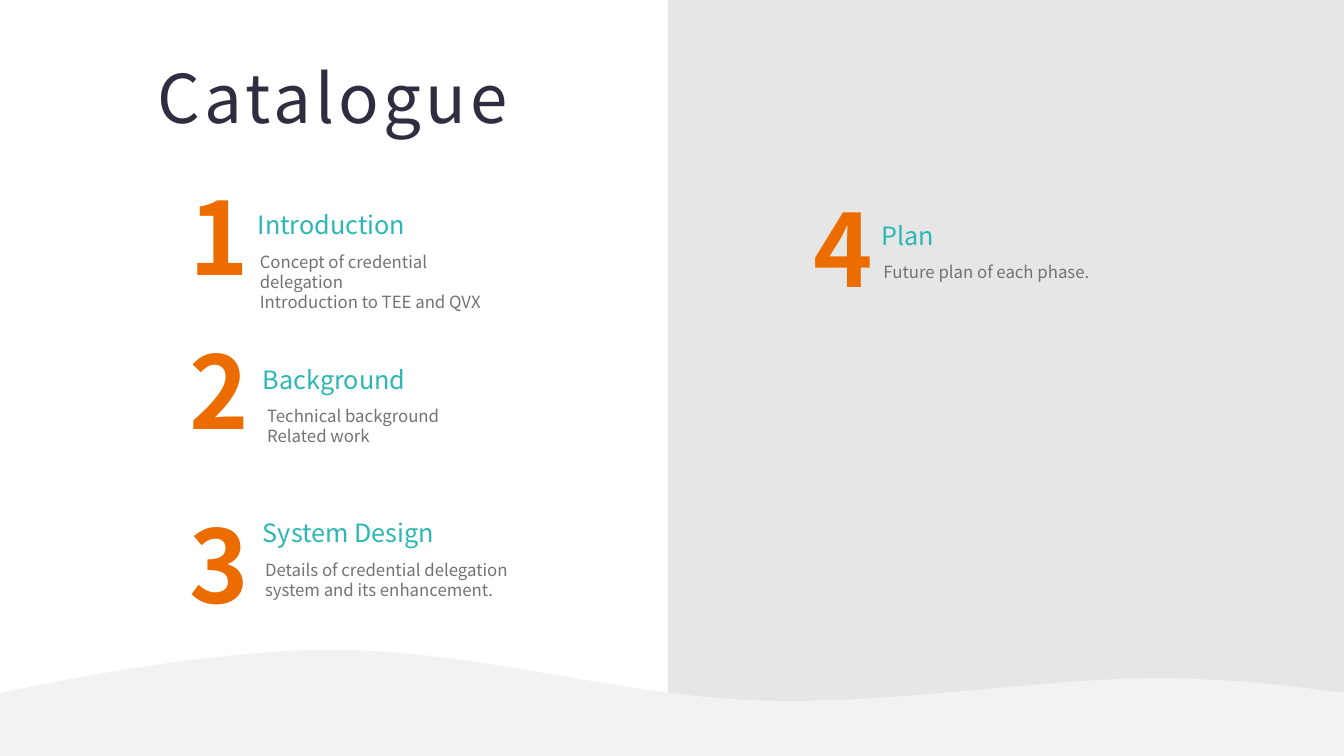
from pptx import Presentation
from pptx.dml.color import RGBColor
from pptx.enum.shapes import MSO_SHAPE
from pptx.enum.text import MSO_AUTO_SIZE, PP_ALIGN
from pptx.util import Pt

PX = 9525  # EMU per px, 96 px to the inch
WIDTH, HEIGHT = 1280, 720
FONT = "Noto Sans CJK SC"
NAVY = RGBColor(0x2F, 0x2E, 0x41)
TEAL = RGBColor(0x2B, 0xB7, 0xB3)
ORANGE = RGBColor(0xED, 0x6C, 0x00)
TEXT_GRAY = RGBColor(0x76, 0x71, 0x71)
PANEL_GRAY = RGBColor(0xE7, 0xE6, 0xE6)
WAVE_GRAY = RGBColor(0xF2, 0xF2, 0xF2)

# Number box (left, top), heading offset and width, body indent and size
ENTRIES = [
    ("1", "Introduction", "Concept of credential delegation\nIntroduction to TEE and QVX",
     (171, 162), (65, 33, 305), (2, 261, 68)),
    ("2", "Background", "Technical background\nRelated work",
     (171, 308), (70, 34, 258), (4, 229, 48)),
    ("3", "System Design", "Details of credential delegation system and its enhancement.",
     (171, 474), (70, 14, 346), (2, 276, 48)),
    ("4", "Plan", "Future plan of each phase.",
     (765, 173), (65, 32, 305), (2, 261, 29)),
]

# Cubic curves along the wave's crest: two control points and an end point
CREST_START = (10, 658)
CREST_CURVES = [
    ((100, 639), (214, 621), (300, 619)),
    ((309, 619), (318, 619), (327, 619)),
    ((458, 621), (590, 662), (718, 667)),
    ((855, 672), (1007, 643), (1121, 646)),
    ((1164, 647), (1209, 651), (1249, 656)),
]
CURVE_STEPS = 24


def add_text(slide, box, text, size, color, bold=False, align=PP_ALIGN.LEFT,
             wrap=True, spacing=0):
    shape = slide.shapes.add_textbox(*(length * PX for length in box))
    text_frame = shape.text_frame
    text_frame.text = text
    text_frame.word_wrap = wrap
    text_frame.auto_size = MSO_AUTO_SIZE.SHAPE_TO_FIT_TEXT
    for paragraph in text_frame.paragraphs:
        paragraph.alignment = align
        for run in paragraph.runs:
            run.font.name = FONT
            run.font.size = Pt(size)
            run.font.bold = bold
            run.font.color.rgb = color
            properties = run.font._element
            properties.set("spc", str(spacing * 100))
            # East Asian face alongside the Latin one
            east_asian = properties.makeelement(
                properties[-1].tag.replace("latin", "ea"), {"typeface": FONT})
            properties.append(east_asian)


def fill_plain(shape, color):
    shape.shadow.inherit = False
    shape.fill.solid()
    shape.fill.fore_color.rgb = color
    shape.line.fill.background()


def add_panel(slide, box):
    panel = slide.shapes.add_shape(MSO_SHAPE.RECTANGLE, *(length * PX for length in box))
    fill_plain(panel, PANEL_GRAY)


def curve_points(start, control_1, control_2, end):
    for step in range(1, CURVE_STEPS + 1):
        t = step / CURVE_STEPS
        weights = ((1 - t) ** 3, 3 * t * (1 - t) ** 2, 3 * t * t * (1 - t), t ** 3)
        corners = (start, control_1, control_2, end)
        yield tuple(sum(w * corner[axis] for w, corner in zip(weights, corners))
                    for axis in (0, 1))


def add_wave(slide):
    points = [CREST_START]
    for curve in CREST_CURVES:
        points.extend(curve_points(points[-1], *curve))
    points += [(WIDTH, 660), (WIDTH, HEIGHT), (0, HEIGHT)]
    builder = slide.shapes.build_freeform(0, 660 * PX)
    builder.add_line_segments([(round(x * PX), round(y * PX)) for x, y in points])
    fill_plain(builder.convert_to_shape(), WAVE_GRAY)


def add_entry(slide, number, heading, body, corner, heading_place, body_place):
    left, top = corner
    heading_x, heading_y, heading_width = heading_place
    indent, body_width, body_height = body_place
    heading_left, heading_top = left + heading_x, top + heading_y
    add_text(slide, (left, top, 64, 126), number, 72, ORANGE, True, PP_ALIGN.CENTER)
    add_text(slide, (heading_left, heading_top, heading_width, 38), heading, 18, TEAL)
    add_text(slide, (heading_left + indent, heading_top + 40, body_width, body_height),
             body, 12, TEXT_GRAY)


def main():
    presentation = Presentation()
    presentation.slide_width = WIDTH * PX
    presentation.slide_height = HEIGHT * PX
    slide = presentation.slides.add_slide(presentation.slide_layouts[6])

    # Background: right panel and bottom wave
    add_panel(slide, (636, 0, WIDTH - 636, HEIGHT))
    add_wave(slide)

    # Title and numbered entries
    add_text(slide, (141, 49, 367, 173), "Catalogue", 48, NAVY, wrap=False, spacing=3)
    for entry in ENTRIES:
        add_entry(slide, *entry)

    presentation.save("out.pptx")


if __name__ == "__main__":
    main()
